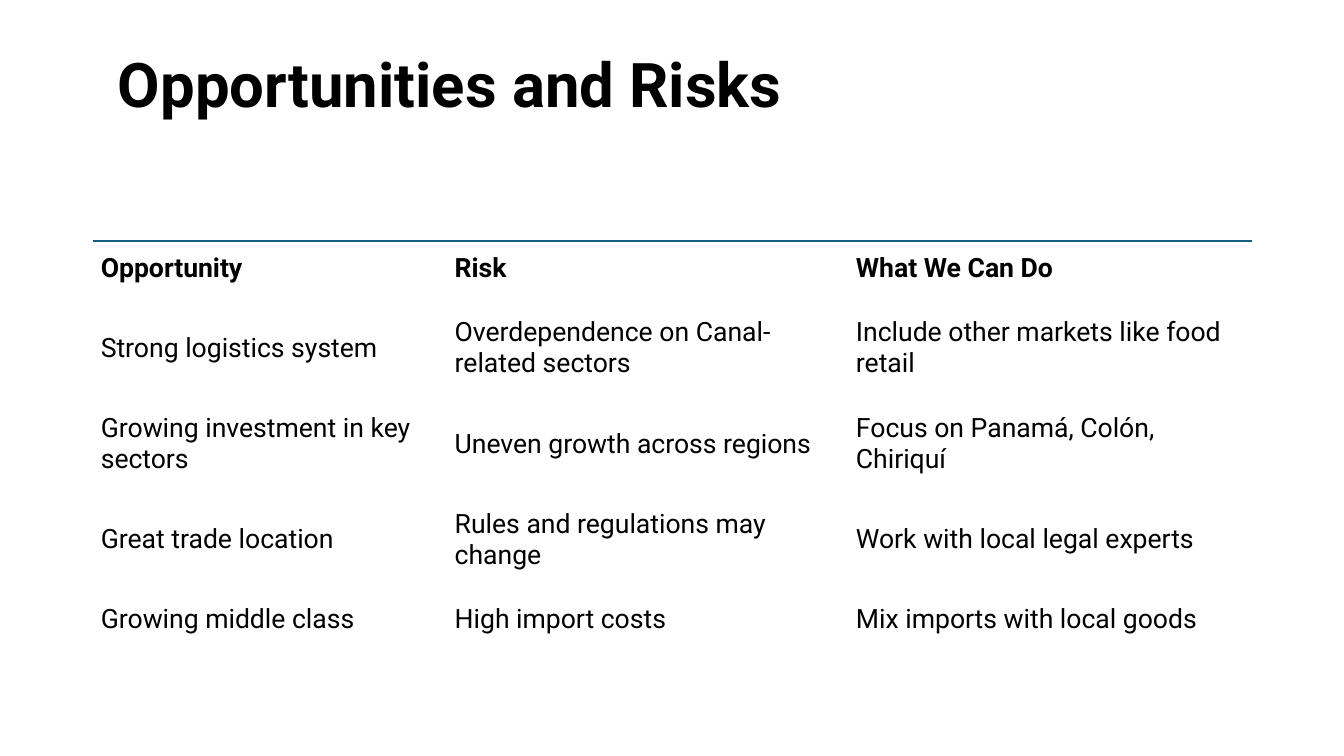
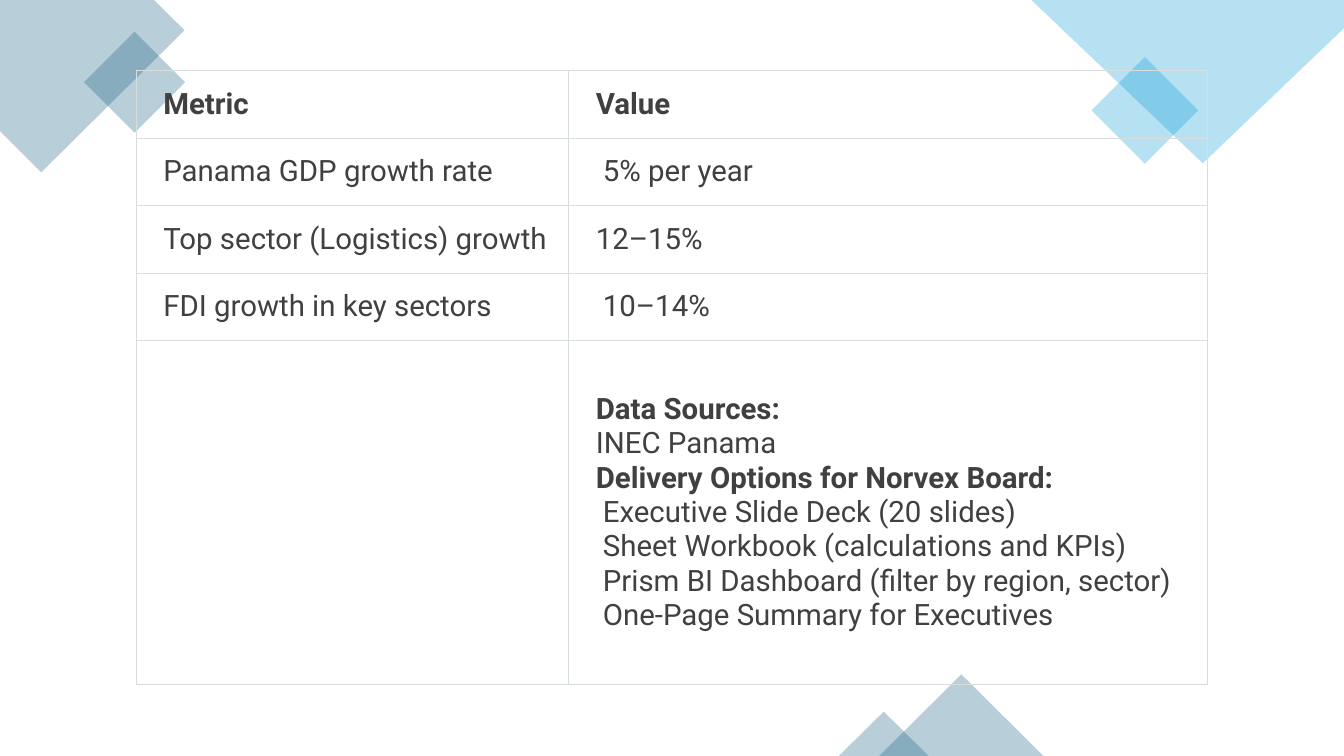
from dataclasses import dataclass
from typing import NamedTuple

from pptx import Presentation
from pptx.dml import color
from pptx.enum import shapes, text
from pptx.oxml import ns, xmlchemy
from pptx.util import Inches, Pt


@dataclass(frozen=True)
class Theme:
    font: str = "Roboto"
    black: str = "000000"
    body: str = "404040"
    teal: str = "156082"
    sky: str = "0F9ED5"
    grid: str = "D8DEDC"
    alpha: int = 30
    title_size: float = 44
    risk_size: float = 19
    metric_size: float = 21
    indent: float = 0.07


THEME = Theme()


class Line(NamedTuple):
    text: str
    bold: bool = False
    indent: bool = False


class Border(NamedTuple):
    color: str
    width: float


class Tile(NamedTuple):
    kind: shapes.MSO_SHAPE
    left: float
    top: float
    width: float
    height: float
    color: str
    rotation: float = 0


class Outline(NamedTuple):
    points: list[tuple[float, float]]
    color: str


@dataclass(frozen=True)
class TableStyle:
    size: float
    color: str
    margins: tuple[float, float, float, float]  # left, top, right, bottom
    header_borders: dict[str, Border]
    body_borders: dict[str, Border]


Cell = list[Line]
SIDES = ("L", "R", "T", "B")

# Table looks
TOP_RULE = TableStyle(THEME.risk_size, THEME.black, (0.08, 0.08, 0.08, 0.16),
                      {"T": Border(THEME.teal, 1)}, {})
GRID_LINES = dict.fromkeys(SIDES, Border(THEME.grid, 0.75))
FULL_GRID = TableStyle(THEME.metric_size, THEME.body, (0.27, 0.14, 0.17, 0.14),
                       GRID_LINES, GRID_LINES)

# Slide content
RISKS = [
    ("Opportunity", "Risk", "What We Can Do"),
    ("Strong logistics system", "Overdependence on Canal-related sectors",
     "Include other markets like food retail"),
    ("Growing investment in key sectors", "Uneven growth across regions",
     "Focus on Panamá, Colón, Chiriquí"),
    ("Great trade location", "Rules and regulations may change",
     "Work with local legal experts"),
    ("Growing middle class", "High import costs", "Mix imports with local goods"),
]

METRICS: list[list[Cell]] = [
    [[Line("Metric", bold=True)], [Line("Value", bold=True)]],
    [[Line("Panama GDP growth rate")], [Line("5% per year", indent=True)]],
    [[Line("Top sector (Logistics) growth")], [Line("12–15%")]],
    [[Line("FDI growth in key sectors")], [Line("10–14%", indent=True)]],
    [[], [
        Line("Data Sources:", bold=True),
        Line("INEC Panama"),
        Line("Delivery Options for Norvex Board:", bold=True),
        Line("Executive Slide Deck (20 slides)", indent=True),
        Line("Sheet Workbook (calculations and KPIs)", indent=True),
        Line("Prism BI Dashboard (filter by region, sector)", indent=True),
        Line("One-Page Summary for Executives", indent=True),
    ]],
]

# Corner decoration
OUTLINES = [
    Outline([(1.53, 0), (0, 0), (0, 1.3), (0.41, 1.71), (1.83, 0.3)], THEME.teal),
    Outline([(13.33, 0), (10.23, 0), (11.93, 1.62), (13.33, 0.28)], THEME.sky),
]
TILES = [
    Tile(shapes.MSO_SHAPE.RECTANGLE, 0.98, 0.46, 0.71, 0.71, THEME.teal, 315),
    Tile(shapes.MSO_SHAPE.RECTANGLE, 10.98, 0.72, 0.75, 0.75, THEME.sky, 315),
    Tile(shapes.MSO_SHAPE.ISOSCELES_TRIANGLE, 8.72, 6.69, 1.63, 0.81, THEME.teal),
    Tile(shapes.MSO_SHAPE.ISOSCELES_TRIANGLE, 8.32, 7.06, 0.89, 0.44, THEME.teal),
]


def rgb(value: str) -> color.RGBColor:
    return color.RGBColor.from_string(value)


def set_font(p, size: float, value: str, bold: bool) -> None:
    p.font.name = THEME.font
    p.font.size = Pt(size)
    p.font.bold = bold
    p.font.color.rgb = rgb(value)


def paint(sp, value: str) -> None:
    """Give a shape a translucent fill with no line or shadow."""
    sp.shadow.inherit = False
    sp.line.fill.background()
    sp.fill.solid()
    sp.fill.fore_color.rgb = rgb(value)
    clr = sp._element.spPr.find(".//" + ns.qn("a:srgbClr"))
    add_xml(clr, "a:alpha", val=THEME.alpha * 1000)


def add_xml(parent, tag: str, **attrs) -> xmlchemy.BaseOxmlElement:
    child = parent.makeelement(ns.qn(tag), {k: str(v) for k, v in attrs.items()})
    parent.append(child)
    return child


def set_borders(cell, borders: dict[str, Border]) -> None:
    tc_pr = cell._tc.get_or_add_tcPr()
    for side in SIDES:
        border = borders.get(side)
        if border:
            ln = add_xml(tc_pr, f"a:ln{side}", w=Pt(border.width))
            add_xml(add_xml(ln, "a:solidFill"), "a:srgbClr", val=border.color)
        else:
            add_xml(add_xml(tc_pr, f"a:ln{side}", w=0), "a:noFill")


def fill_cell(cell, lines: Cell, style: TableStyle, borders: dict[str, Border]) -> None:
    set_borders(cell, borders)
    cell.fill.background()
    cell.vertical_anchor = text.MSO_ANCHOR.MIDDLE
    (cell.margin_left, cell.margin_top,
     cell.margin_right, cell.margin_bottom) = map(Inches, style.margins)
    tf = cell.text_frame
    for i, line in enumerate(lines):
        p = tf.add_paragraph() if i else tf.paragraphs[0]
        p.text = line.text
        set_font(p, style.size, style.color, line.bold)
        if line.indent:
            p._p.get_or_add_pPr().set("marL", str(Inches(THEME.indent)))


def add_table(s, left: float, top: float, cols: list[float], rows: list[float],
              cells: list[list[Cell]], style: TableStyle) -> None:
    table = s.shapes.add_table(len(rows), len(cols), Inches(left), Inches(top),
                               Inches(sum(cols)), Inches(sum(rows))).table
    table.first_row = table.horz_banding = False
    for col, width in zip(table.columns, cols):
        col.width = Inches(width)
    for i, (row, height) in enumerate(zip(table.rows, rows)):
        row.height = Inches(height)
        borders = style.body_borders if i else style.header_borders
        for cell, lines in zip(row.cells, cells[i]):
            fill_cell(cell, lines, style, borders)


def add_title(s, title: str) -> None:
    tf = s.shapes.add_textbox(Inches(0.92), Inches(0.37), Inches(11.5), Inches(1.65)).text_frame
    tf.word_wrap = True
    tf.vertical_anchor = text.MSO_ANCHOR.TOP
    tf.margin_left, tf.margin_top = Inches(0.25), Inches(0.17)
    p = tf.paragraphs[0]
    p.text = title
    p.line_spacing = 0.9
    set_font(p, THEME.title_size, THEME.black, True)


def add_outline(s, outline: Outline) -> None:
    start, *rest = [(Inches(x), Inches(y)) for x, y in outline.points]
    builder = s.shapes.build_freeform(*start)
    builder.add_line_segments(rest, close=True)
    paint(builder.convert_to_shape(), outline.color)


def add_tile(s, tile: Tile) -> None:
    sp = s.shapes.add_shape(tile.kind, Inches(tile.left), Inches(tile.top),
                            Inches(tile.width), Inches(tile.height))
    sp.rotation = tile.rotation
    paint(sp, tile.color)


def build_risks(s) -> None:
    add_title(s, "Opportunities and Risks")
    cells = [[[Line(label, bold=i == 0)] for label in row] for i, row in enumerate(RISKS)]
    add_table(s, 0.92, 2.39, [3.51, 3.98, 4.01], [0.63, *[0.95] * 3, 0.63], cells, TOP_RULE)


def build_metrics(s) -> None:
    for outline in OUTLINES:
        add_outline(s, outline)
    for tile in TILES:
        add_tile(s, tile)
    add_table(s, 1.35, 0.7, [4.29, 6.34], [*[0.67] * 4, 3.41], METRICS, FULL_GRID)


def main() -> None:
    prs = Presentation()
    prs.slide_width, prs.slide_height = Inches(13.33), Inches(7.5)
    blank = prs.slide_layouts[6]
    for build in (build_risks, build_metrics):
        build(prs.slides.add_slide(blank))
    prs.save("out.pptx")


if __name__ == "__main__":
    main()
